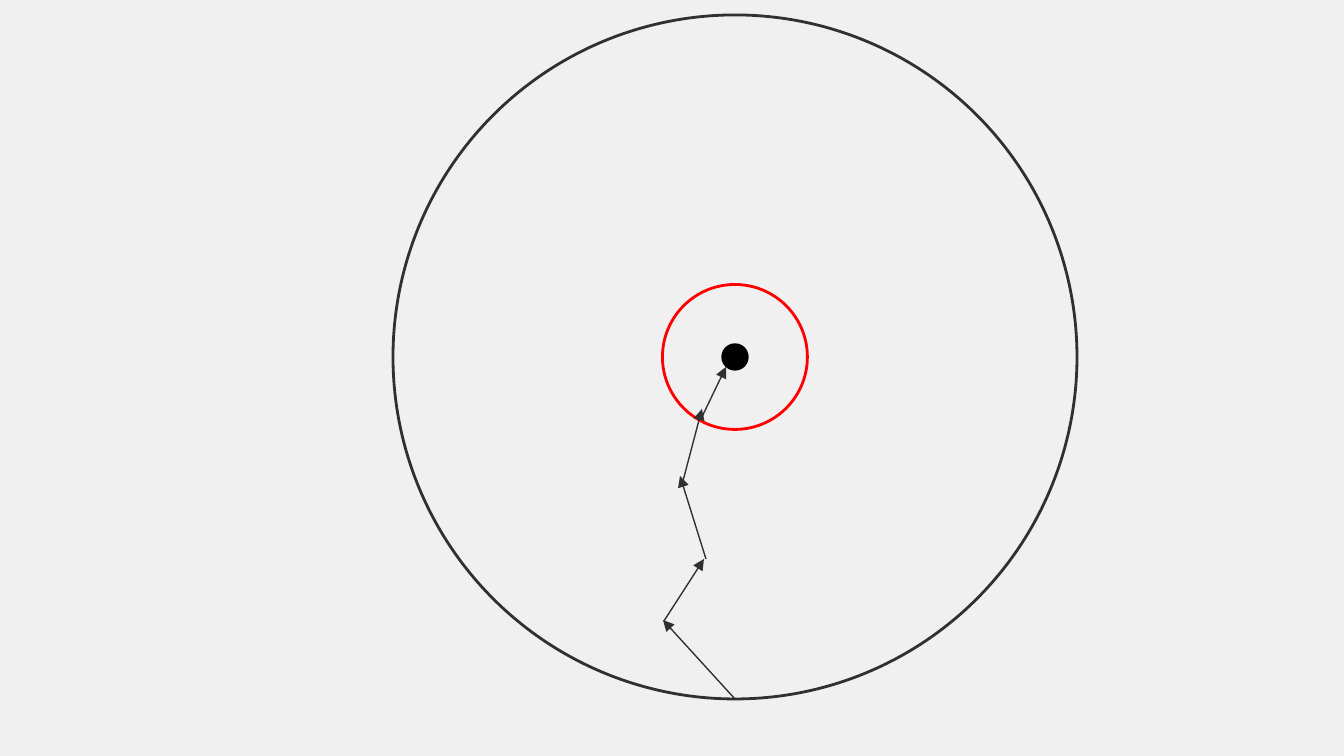
from dataclasses import dataclass

from lxml.etree import SubElement
from pptx import Presentation
from pptx.dml.color import RGBColor
from pptx.enum.shapes import MSO_CONNECTOR as Connector, MSO_SHAPE as Shape
from pptx.oxml.ns import qn
from pptx.slide import Slide
from pptx.util import Emu, Pt

EMU_PER_PX = 914400 / 134.4
COLORS = {
    "background": "F0F0F1",
    "ink": "303030",
    "ring": "FF0000",
    "dot": "000000",
}
Point = tuple[int, int]
CENTER: Point = (735, 357)


@dataclass(frozen=True)
class Circle:
    diameter: int
    line: str
    weight: float
    fill: str | None = None


@dataclass(frozen=True)
class Step:
    start: Point
    end: Point


# Concentric circles, from back to front
CIRCLES = [
    Circle(145, "ring", 1.5),
    Circle(684, "ink", 1.5),
    Circle(26, "dot", 0.75, fill="dot"),
]

# Path from the outer circle to the dot
STEPS = [
    Step((735, 699), (663, 620)),
    Step((664, 621), (704, 559)),
    Step((706, 559), (680, 476)),
    Step((683, 481), (702, 409)),
    Step((702, 417), (726, 367)),
]


def px(length: float) -> Emu:
    return Emu(round(length * EMU_PER_PX))


def color(name: str) -> RGBColor:
    return RGBColor.from_string(COLORS[name])


def draw_circle(slide: Slide, circle: Circle) -> None:
    left, top = (px(middle - circle.diameter / 2) for middle in CENTER)
    size = px(circle.diameter)
    shape = slide.shapes.add_shape(Shape.OVAL, left, top, size, size)
    shape.shadow.inherit = False
    if circle.fill:
        shape.fill.solid()
        shape.fill.fore_color.rgb = color(circle.fill)
    else:
        shape.fill.background()
    shape.line.color.rgb = color(circle.line)
    shape.line.width = Pt(circle.weight)


def draw_step(slide: Slide, step: Step) -> None:
    ends = [px(length) for length in (*step.start, *step.end)]
    arrow = slide.shapes.add_connector(Connector.STRAIGHT, *ends)
    arrow.line.color.rgb = color("ink")
    arrow.line.width = Pt(0.75)
    properties = arrow.element.spPr
    SubElement(properties.find(qn("a:ln")), qn("a:tailEnd"), type="triangle")
    SubElement(properties, qn("a:effectLst"))


def main() -> None:
    deck = Presentation()
    deck.slide_width, deck.slide_height = px(1344), px(756)
    page = deck.slides.add_slide(deck.slide_layouts[6])
    page.background.fill.solid()
    page.background.fill.fore_color.rgb = color("background")

    for circle in CIRCLES:
        draw_circle(page, circle)
    for step in STEPS:
        draw_step(page, step)

    deck.save("out.pptx")


if __name__ == "__main__":
    main()
